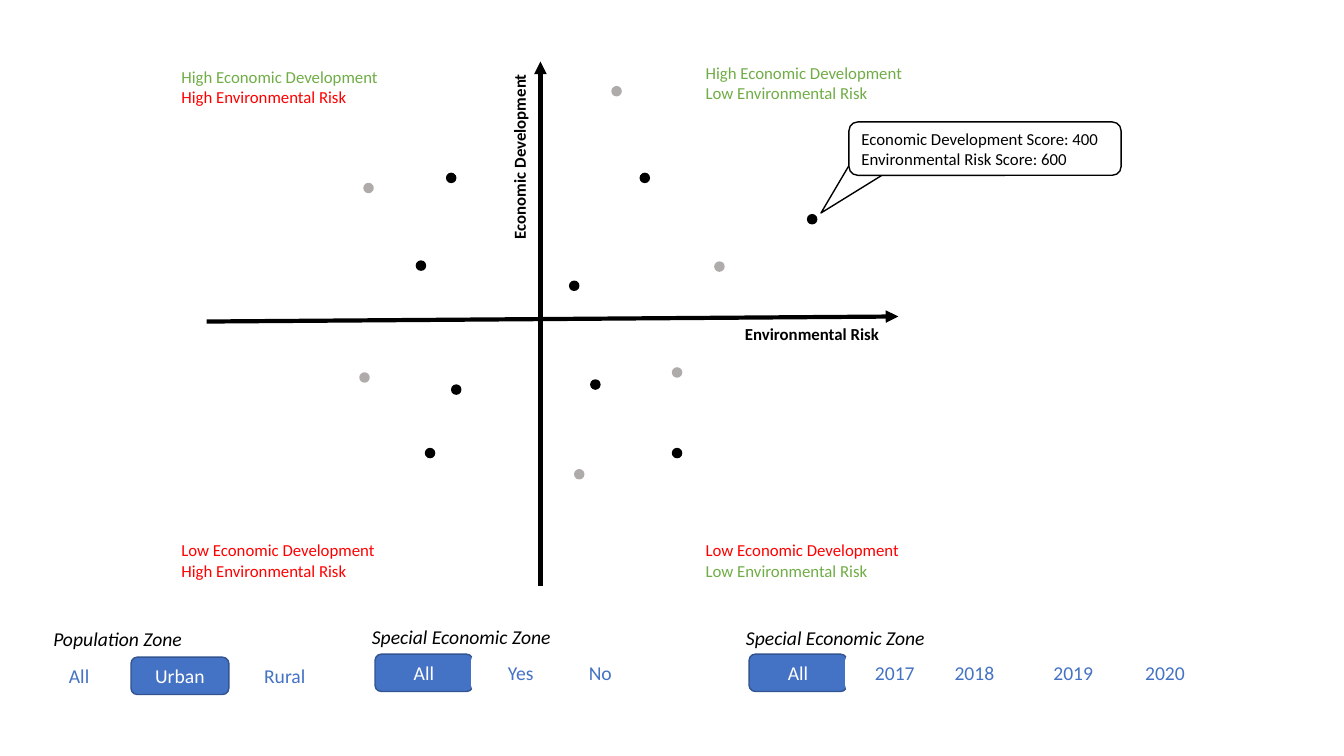
"""Build a quadrant slide of economic development against environmental risk."""
from lxml import etree
from pptx import Presentation
from pptx.dml.color import RGBColor
from pptx.enum.shapes import MSO_CONNECTOR, MSO_SHAPE
from pptx.enum.text import MSO_ANCHOR, PP_ALIGN
from pptx.oxml.ns import qn
from pptx.util import Inches, Pt

BLACK, WHITE, GREY = "000000", "FFFFFF", "AFABAB"
GREEN, RED, BLUE, DARK_BLUE = "70AD47", "FF0000", "4472C4", "325491"

presentation = Presentation()
presentation.slide_width, presentation.slide_height = Inches(13.33), Inches(7.5)
slide = presentation.slides.add_slide(presentation.slide_layouts[6])


def add_shape(kind, box, fill, line):
    """Add a flat preset shape."""
    shape = slide.shapes.add_shape(kind, *map(Inches, box))
    shape.shadow.inherit = False
    shape.fill.solid()
    shape.fill.fore_color.rgb = RGBColor.from_string(fill)
    shape.line.color.rgb = RGBColor.from_string(line)
    shape.line.width = Pt(1)
    return shape


def write(shape, lines, align=PP_ALIGN.LEFT, anchor=MSO_ANCHOR.TOP, **font):
    """Write (text, colour) lines, one paragraph each."""
    frame = shape.text_frame
    frame.word_wrap = True
    frame.vertical_anchor = anchor
    frame.text = "\n".join(text for text, colour in lines)
    for paragraph, (text, colour) in zip(frame.paragraphs, lines):
        paragraph.alignment = align
        run_font = paragraph.runs[0].font
        run_font.color.rgb = RGBColor.from_string(colour)
        for name, value in {"name": "Calibri", "size": Pt(12), **font}.items():
            setattr(run_font, name, value)


for ends in [(5.36, 5.81, 5.36, 0.61), (2.05, 3.19, 8.91, 3.14)]:
    axis = slide.shapes.add_connector(MSO_CONNECTOR.STRAIGHT, *map(Inches, ends))
    axis.line.color.rgb = RGBColor.from_string(BLACK)
    axis.line.width = Pt(3)
    etree.SubElement(axis.line._get_or_add_ln(), qn("a:tailEnd"), type="triangle")
    etree.SubElement(axis._element.spPr, qn("a:effectLst"))

quadrants = [
    (1.7, 0.61, "High", "High"),
    (6.9, 0.57, "High", "Low"),
    (1.7, 5.31, "Low", "High"),
    (6.9, 5.31, "Low", "Low"),
]
for left, top, development, risk in quadrants:
    label = slide.shapes.add_textbox(Inches(left), Inches(top), Inches(2.31), Inches(0.5))
    write(label, [
        (f"{development} Economic Development", GREEN if development == "High" else RED),
        (f"{risk} Environmental Risk", GREEN if risk == "Low" else RED),
    ])

axis_titles = [
    ("Environmental Risk", (7.29, 3.16, 1.71, 0.3), 0),
    ("Economic Development", (4.22, 1.39, 1.86, 0.3), 270),
]
for text, box, rotation in axis_titles:
    axis_title = slide.shapes.add_textbox(*map(Inches, box))
    axis_title.rotation = rotation
    write(axis_title, [(text, BLACK)], bold=True)

points = {
    BLACK: [(6.35, 1.72), (4.43, 1.72), (8.01, 2.13), (4.13, 2.59), (4.48, 3.82),
            (5.86, 3.77), (4.22, 4.45), (5.65, 2.79), (6.67, 4.45)],
    GREY: [(3.61, 1.82), (3.57, 3.7), (6.07, 0.86), (6.67, 3.65), (7.09, 2.6),
           (5.7, 4.66)],
}
for colour, places in points.items():
    for left, top in places:
        add_shape(MSO_SHAPE.OVAL, (left, top, 0.09, 0.09), colour, colour)

filters = [
    ("Population Zone", 0.43, 6.17, 1.62, 6.52, "Urban",
     {"All": 0.3, "Urban": 1.3, "Rural": 2.34}),
    ("Special Economic Zone", 3.59, 6.15, 2.14, 6.49, "All",
     {"All": 3.72, "Yes": 4.68, "No": 5.47}),
    ("Special Economic Zone", 7.3, 6.16, 2.14, 6.49, "All",
     {"All": 7.43, "2017": 8.39, "2018": 9.18, "2019": 10.16, "2020": 11.07}),
]
for heading, left, top, width, button_top, selected, buttons in filters:
    title = slide.shapes.add_textbox(Inches(left), Inches(top), Inches(width), Inches(0.34))
    write(title, [(heading, BLACK)], size=Pt(14), italic=True)
    for text, button_left in buttons.items():
        fill, line, colour = (
            (BLUE, DARK_BLUE, WHITE) if text == selected else (WHITE, WHITE, BLUE))
        button = add_shape(MSO_SHAPE.ROUNDED_RECTANGLE,
                           (button_left, button_top, 0.97, 0.37), fill, line)
        write(button, [(text, colour)], PP_ALIGN.CENTER, MSO_ANCHOR.MIDDLE, size=Pt(14))

pointer = add_shape(MSO_SHAPE.ISOSCELES_TRIANGLE, (8.22, 1.47, 0.37, 0.75), WHITE, BLACK)
pointer.rotation = 224.4
callout = add_shape(MSO_SHAPE.ROUNDED_RECTANGLE, (8.42, 1.21, 2.7, 0.53), WHITE, BLACK)
write(callout, [("Economic Development Score: 400", BLACK),
                ("Environmental Risk Score: 600", BLACK)], anchor=MSO_ANCHOR.MIDDLE)

presentation.save("out.pptx")
